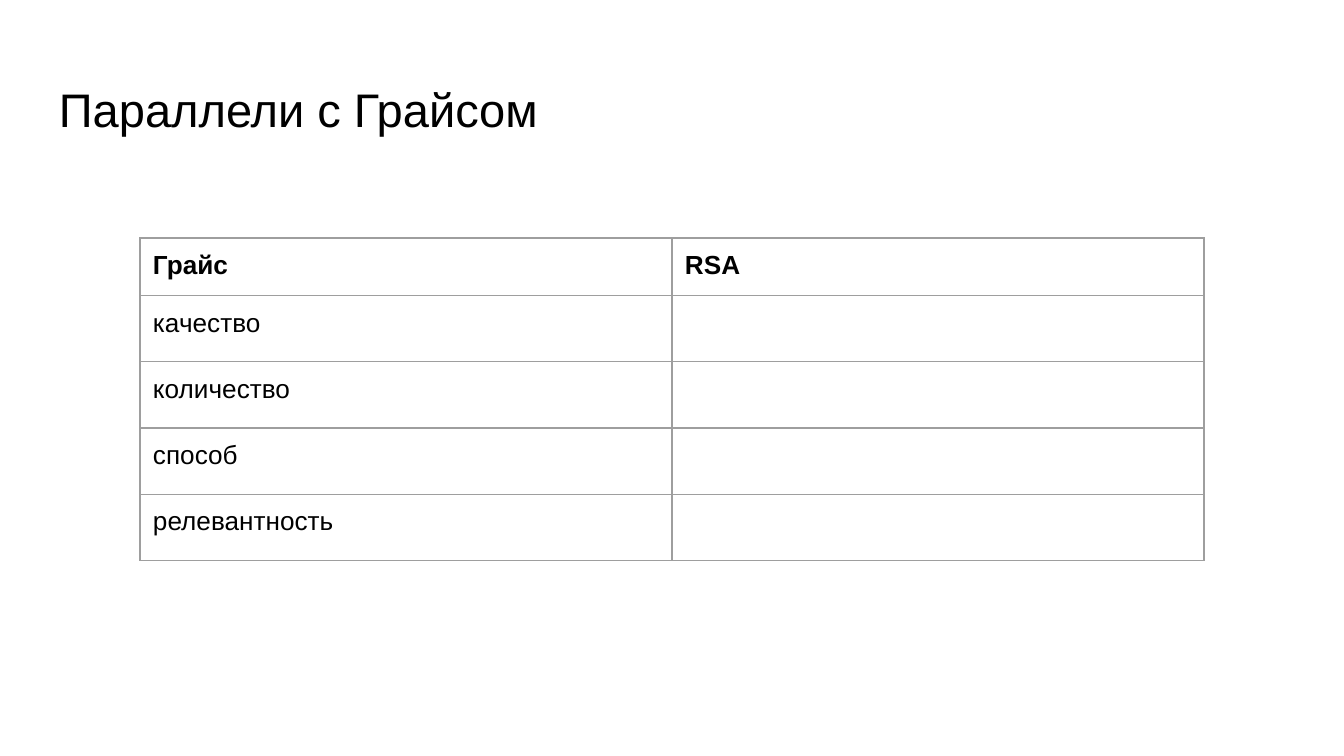
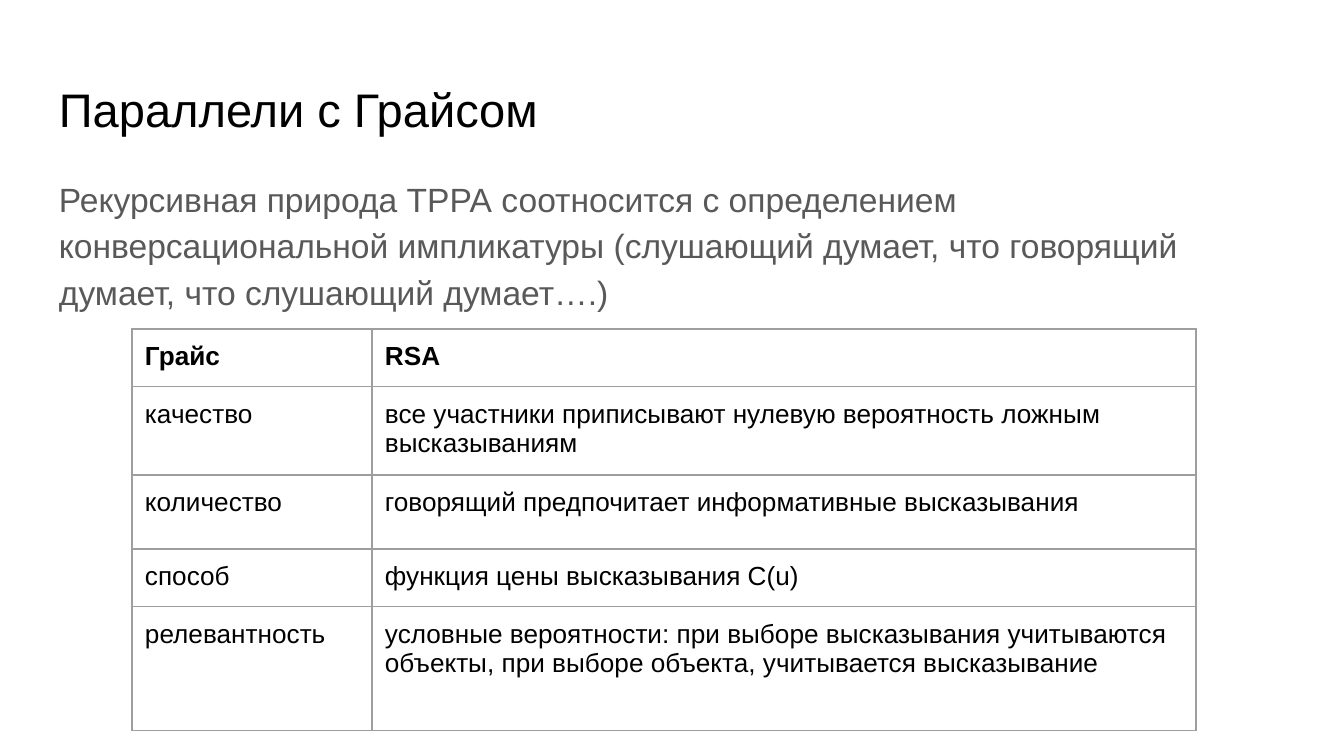
from lxml.etree import SubElement
from pptx import Presentation
from pptx.dml.color import RGBColor
from pptx.enum.text import MSO_ANCHOR
from pptx.oxml.ns import qn
from pptx.util import Pt

PX = 914400 / 134.4  # EMU in one px
SLIDE_W, SLIDE_H = 1344, 756
INSET = 13
FONT = "Arial"
BLACK = RGBColor(0x00, 0x00, 0x00)
GRAY = RGBColor(0x59, 0x59, 0x59)
BORDER = RGBColor(0x9E, 0x9E, 0x9E)

TITLE = "Параллели с Грайсом"
TITLE_BOX = (46, 66, 1253, 84)
THESIS_BOX = (46, 160, 1253, 503)
THESIS = (
    "Рекурсивная природа ТРРА соотносится с определением "
    "конверсациональной импликатуры (слушающий думает, что говорящий "
    "думает, что слушающий думает….)"
)
HEADER = ("Грайс", "RSA")
MAXIMS = {
    "качество": "все участники приписывают нулевую вероятность ложным высказываниям",
    "количество": "говорящий предпочитает информативные высказывания",
    "способ": "функция цены высказывания C(u)",
    "релевантность": "условные вероятности: при выборе высказывания учитываются "
                     "объекты, при выборе объекта, учитывается высказывание",
}


def px(length):
    return round(length * PX)


def add_run(paragraph, text, size, color, bold=False):
    run = paragraph.add_run()
    run.text = text
    run.font.name = FONT
    run.font.size = Pt(size)
    run.font.bold = bold
    run.font.color.rgb = color


def add_text(slide, box, text, size, color, anchor):
    frame = slide.shapes.add_textbox(*map(px, box)).text_frame
    frame.word_wrap = True
    frame.vertical_anchor = anchor
    frame.margin_left = frame.margin_right = px(INSET)
    frame.margin_top = frame.margin_bottom = px(INSET)
    paragraph = frame.paragraphs[0]
    add_run(paragraph, text, size, color)
    return paragraph


def add_title(slide, box):
    add_text(slide, box, TITLE, 25.2, BLACK, MSO_ANCHOR.BOTTOM)


def add_thesis(slide, box):
    paragraph = add_text(slide, box, THESIS, 18, GRAY, MSO_ANCHOR.TOP)
    paragraph.line_spacing = 1.15
    paragraph.space_after = Pt(12)


def style_cell(cell):
    cell.margin_left = cell.margin_right = px(INSET)
    cell.margin_top = cell.margin_bottom = px(INSET)
    properties = cell._tc.get_or_add_tcPr()
    for side in ("a:lnL", "a:lnR", "a:lnT", "a:lnB"):
        line = SubElement(properties, qn(side), w=str(Pt(0.75)))
        fill = SubElement(line, qn("a:solidFill"))
        SubElement(fill, qn("a:srgbClr"), val=str(BORDER))
    cell.fill.background()


def add_comparison(slide, left, top, widths, heights, rows):
    table = slide.shapes.add_table(
        len(rows), len(widths), px(left), px(top), px(sum(widths)), px(sum(heights))
    ).table
    table.first_row = table.horz_banding = False
    for column, width in zip(table.columns, widths):
        column.width = px(width)
    for row, height, texts in zip(table.rows, heights, rows):
        row.height = px(height)
        for cell, text in zip(row.cells, texts):
            style_cell(cell)
            if text:
                paragraph = cell.text_frame.paragraphs[0]
                add_run(paragraph, text, 14, BLACK, bold=texts == HEADER)


def build_question_slide(slide):
    add_title(slide, TITLE_BOX)
    # Right column left open for the answers
    rows = [HEADER] + [(maxim, "") for maxim in MAXIMS]
    add_comparison(slide, 140, 238, [532] * 2, [56] + [64] * len(MAXIMS), rows)


def build_answer_slide(slide):
    add_title(slide, TITLE_BOX)
    add_thesis(slide, THESIS_BOX)
    rows = [HEADER, *MAXIMS.items()]
    add_comparison(slide, 132, 329, [240, 824], [57, 85, 74, 56, 124], rows)


def main():
    deck = Presentation()
    deck.slide_width, deck.slide_height = px(SLIDE_W), px(SLIDE_H)
    blank = deck.slide_layouts[6]
    for build in (build_question_slide, build_answer_slide):
        build(deck.slides.add_slide(blank))
    deck.save("out.pptx")


if __name__ == "__main__":
    main()
